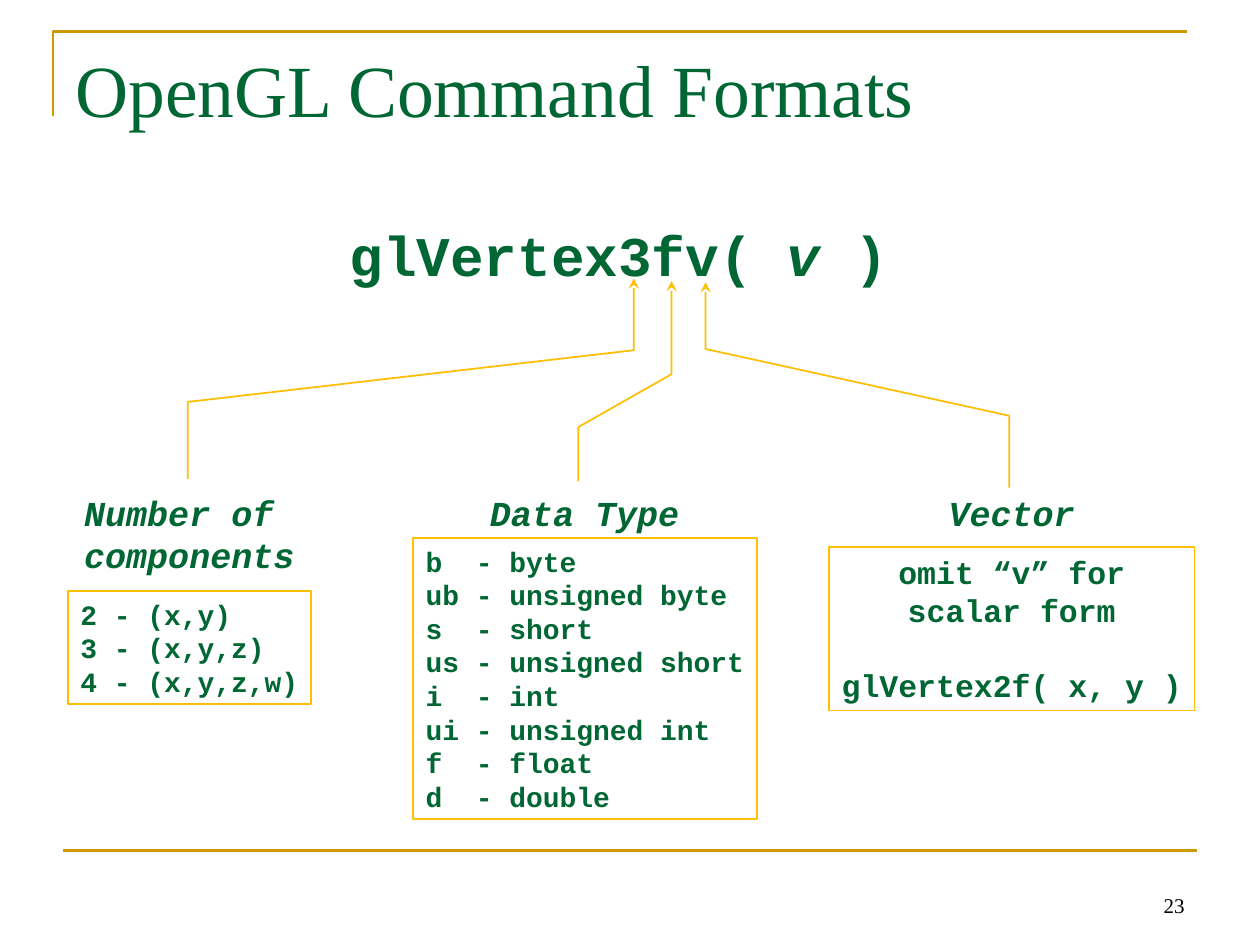
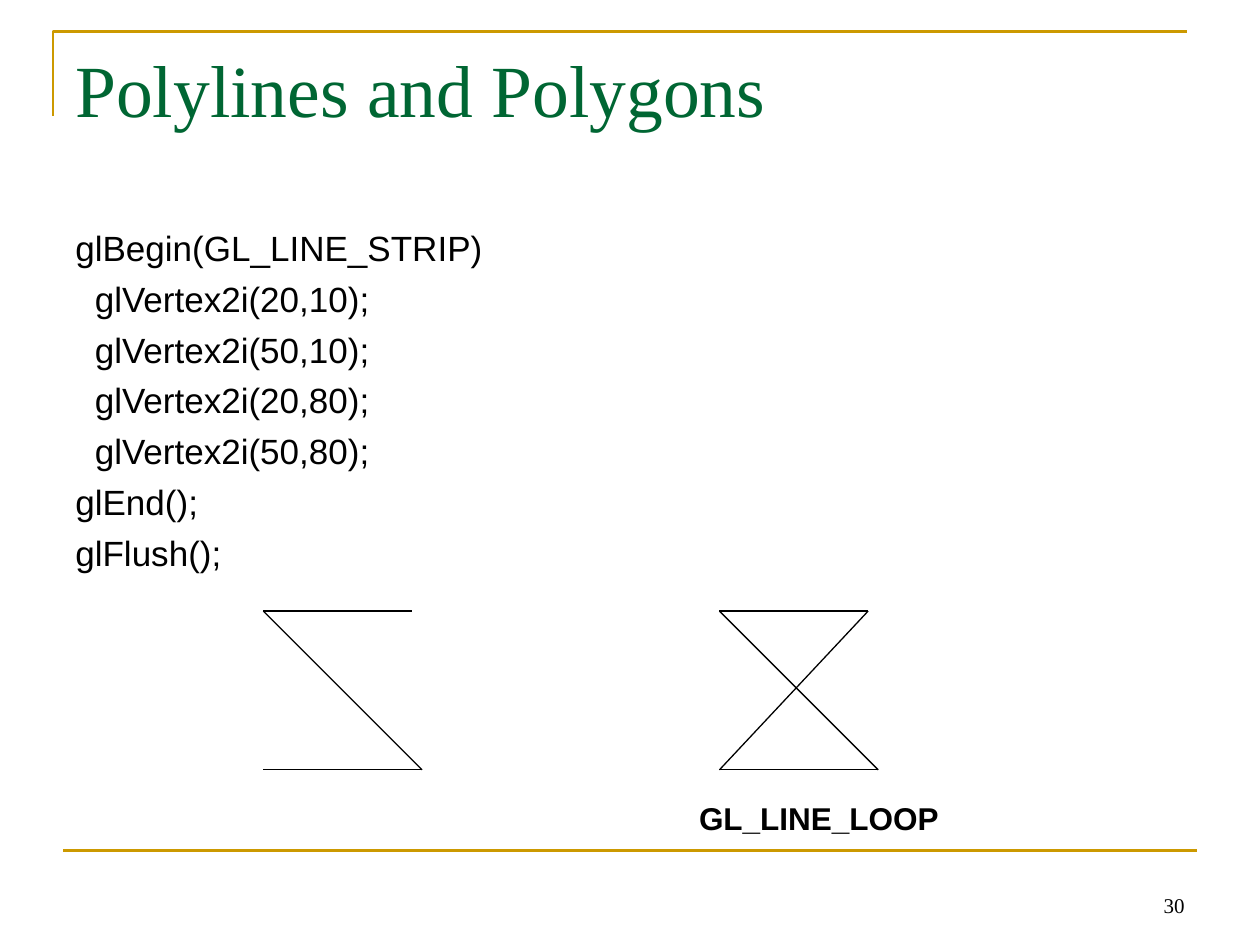
from lxml import etree
from pptx import Presentation
from pptx.dml.color import RGBColor
from pptx.enum.shapes import MSO_CONNECTOR, MSO_SHAPE
from pptx.enum.text import MSO_ANCHOR, MSO_AUTO_SIZE, PP_ALIGN
from pptx.oxml.ns import qn
from pptx.util import Inches, Pt

LEFT, CENTER, RIGHT = PP_ALIGN.LEFT, PP_ALIGN.CENTER, PP_ALIGN.RIGHT
TOP, BOTTOM = MSO_ANCHOR.TOP, MSO_ANCHOR.BOTTOM
FIT_SHAPE, NO_FIT = MSO_AUTO_SIZE.SHAPE_TO_FIT_TEXT, MSO_AUTO_SIZE.NONE
STRAIGHT, RECTANGLE = MSO_CONNECTOR.STRAIGHT, MSO_SHAPE.RECTANGLE

COLUMNS, ROWS = 10, 7.5
LINE_HEIGHT = 1.2
SERIF, SANS, MONO = "Times New Roman", "Arial", "Courier New"
GREEN, GOLD, AMBER, BLACK = "006633", "CC9900", "FEBF02", "000000"


def color(hex_code):
    return RGBColor.from_string(hex_code)


class Deck:
    """Holds the shared style and the current slide; lengths are grid columns and rows."""

    def __init__(self):
        self.presentation = Presentation()
        self.presentation.slide_width = Inches(10)
        self.presentation.slide_height = Inches(7.5)
        self.slide = None

    def x(self, columns):
        return round(self.presentation.slide_width * columns / COLUMNS)

    def y(self, rows):
        return round(self.presentation.slide_height * rows / ROWS)

    def area(self, left, top, width, height):
        return self.x(left), self.y(top), self.x(width), self.y(height)

    def add_slide(self, title, number):
        """Start a slide with the title, gold rules and page number all slides share."""
        self.slide = self.presentation.slides.add_slide(self.presentation.slide_layouts[6])
        self.polyline([(0.42, 0.92), (0.42, 0.25), (9.42, 0.25)], GOLD, 1.5)
        self.line((0.5, 6.75), (9.5, 6.75), GOLD, 1.5)
        self.text([title], (0.5, 0.3, 9, 1.25), SERIF, 42, GREEN)
        self.text([str(number)], (7.17, 6.83, 2.33, 0.5), SERIF, 12, BLACK,
                  align=RIGHT, anchor=BOTTOM)

    def style_line(self, line, line_color, width):
        line.color.rgb = color(line_color)
        line.width = Pt(width)

    def line(self, start, end, line_color, width, group=None):
        shapes = group.shapes if group else self.slide.shapes
        connector = shapes.add_connector(
            STRAIGHT, self.x(start[0]), self.y(start[1]), self.x(end[0]), self.y(end[1]))
        self.style_line(connector.line, line_color, width)
        etree.SubElement(connector._element.spPr, qn("a:effectLst"))

    def polyline(self, points, line_color, width, arrow=False):
        """Draw an open outline, with an arrowhead at its first point if asked."""
        (start_x, start_y), *rest = [(self.x(x), self.y(y)) for x, y in points]
        builder = self.slide.shapes.build_freeform(start_x, start_y)
        builder.add_line_segments(rest, close=False)
        shape = builder.convert_to_shape()
        shape.shadow.inherit = False
        shape.fill.background()
        self.style_line(shape.line, line_color, width)
        if arrow:
            etree.SubElement(shape.line._get_or_add_ln(), qn("a:headEnd"), type="stealth")

    def text(self, lines, area, font, size, text_color, bold=False, align=LEFT,
             anchor=TOP, wrap=True, gap=0):
        box = self.slide.shapes.add_textbox(*self.area(*area))
        self.fill_text(box, lines, font, size, text_color, bold, align, anchor, wrap, gap)

    def code_label(self, lines, area, size, align=LEFT):
        self.text(lines, area, MONO, size, GREEN, bold=True, align=align, wrap=False)

    def code_box(self, lines, area, size, align=LEFT, last_gap=0):
        """Frame code lines; last_gap is the space in points above the last one."""
        box = self.slide.shapes.add_shape(RECTANGLE, *self.area(*area))
        box.shadow.inherit = False
        box.fill.background()
        self.style_line(box.line, AMBER, 1)
        self.fill_text(box, lines, MONO, size, GREEN, True, align, TOP, False, 0)
        if last_gap:
            box.text_frame.paragraphs[-1].space_before = Pt(last_gap)

    def fill_text(self, shape, lines, font, size, text_color, bold, align, anchor, wrap, gap):
        """Write one paragraph per line; parts between asterisks are italic."""
        frame = shape.text_frame
        frame.word_wrap = wrap
        frame.auto_size = NO_FIT if wrap else FIT_SHAPE
        frame.vertical_anchor = anchor
        for index, content in enumerate(lines):
            paragraph = frame.add_paragraph() if index else frame.paragraphs[0]
            paragraph.alignment = align
            paragraph.line_spacing = Pt(size * LINE_HEIGHT)
            paragraph.space_before = Pt(gap if index else 0)
            for position, part in enumerate(content.split("*")):
                if not part:
                    continue
                run = paragraph.add_run()
                run.text = part
                run.font.name = font
                run.font.size = Pt(size)
                run.font.bold = bold
                run.font.italic = position % 2 == 1
                run.font.color.rgb = color(text_color)


def command_formats(deck):
    deck.add_slide("OpenGL Command Formats", 23)
    deck.code_label(["glVertex3fv( *v* )"], (2.67, 1.7, 4.48, 0.63), 32, CENTER)

    # Each arrow runs from a letter of the command down to its heading.
    for letter_x, heading_x, heights in (
        (5.03, 1.49, (2.21, 2.78, 3.19, 3.8)),
        (5.33, 4.59, (2.23, 2.97, 3.39, 3.82)),
        (5.6, 8.01, (2.24, 2.77, 3.3, 3.87)),
    ):
        across = (letter_x, letter_x, heading_x, heading_x)
        deck.polyline(list(zip(across, heights)), AMBER, 1, arrow=True)

    for heading, left, width, height in (
        (["*Number of*", "*components*"], 0.57, 1.87, 0.77),
        (["*Data Type*"], 3.79, 1.71, 0.43),
        (["*Vector*"], 7.43, 1.2, 0.43),
    ):
        deck.code_label(heading, (left, 3.85, width, height), 20)

    deck.code_box(["2 - (x,y)", "3 - (x,y,z)", "4 - (x,y,z,w)"],
                  (0.54, 4.69, 1.93, 0.9), 16)
    data_types = {
        "b": "byte", "ub": "unsigned byte", "s": "short", "us": "unsigned short",
        "i": "int", "ui": "unsigned int", "f": "float", "d": "double",
    }
    deck.code_box([f"{suffix:<2} - {name}" for suffix, name in data_types.items()],
                  (3.28, 4.27, 2.73, 2.23), 16)
    deck.code_box(["omit “v” for", "scalar form", "glVertex2f( x, y )"],
                  (6.58, 4.34, 2.9, 1.3), 18, CENTER, last_gap=18 * LINE_HEIGHT)


def polylines_and_polygons(deck):
    deck.add_slide("Polylines and Polygons", 30)
    vertices = [(20, 10), (50, 10), (20, 80), (50, 80)]
    code = ["glBegin(GL_LINE_STRIP)",
            *(f"  glVertex2i({x},{y});" for x, y in vertices),
            "glEnd();", "glFlush();"]
    deck.text(code, (0.5, 1.75, 9, 4.95), SANS, 20, BLACK, gap=5)

    top, bottom = 4.85, 6.11
    for left, closed in ((2.09, False), (5.71, True)):
        corners = [(left + 1.18, top), (left, top), (left + 1.26, bottom), (left, bottom)]
        if closed:
            corners.append(corners[0])
        group = deck.slide.shapes.add_group_shape()
        for start, end in zip(corners, corners[1:]):
            deck.line(start, end, BLACK, 0.75, group)
    deck.text(["GL_LINE_LOOP"], (5.45, 6.29, 2.1, 0.4), SANS, 18, BLACK,
              bold=True, wrap=False)


def main():
    deck = Deck()
    command_formats(deck)
    polylines_and_polygons(deck)
    deck.presentation.save("out.pptx")


if __name__ == "__main__":
    main()
